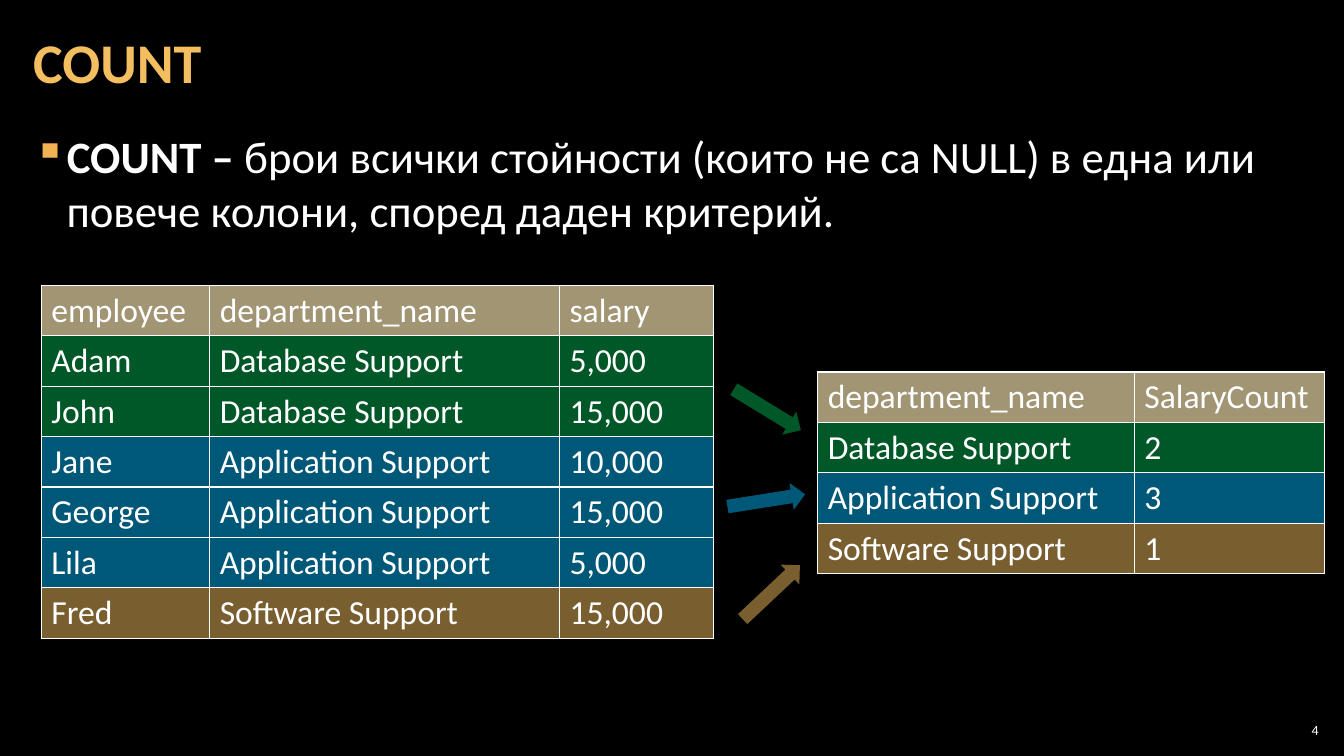
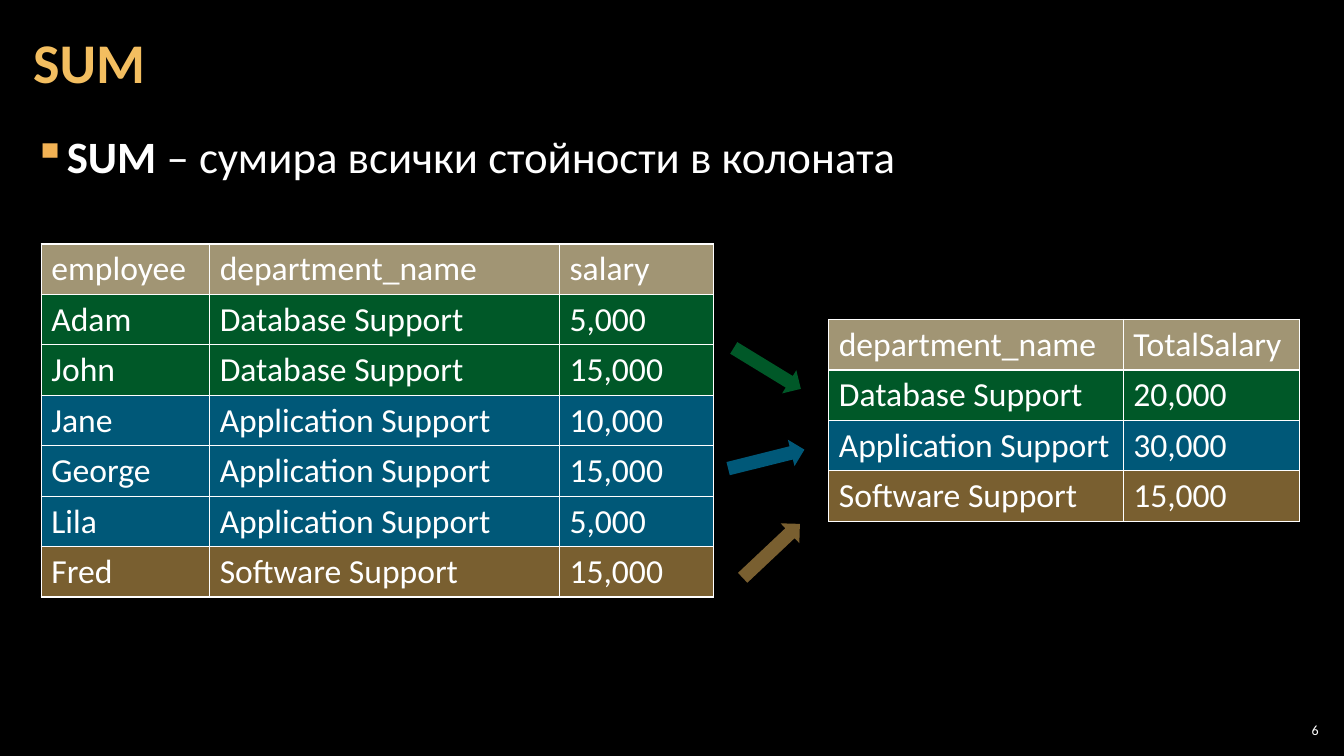
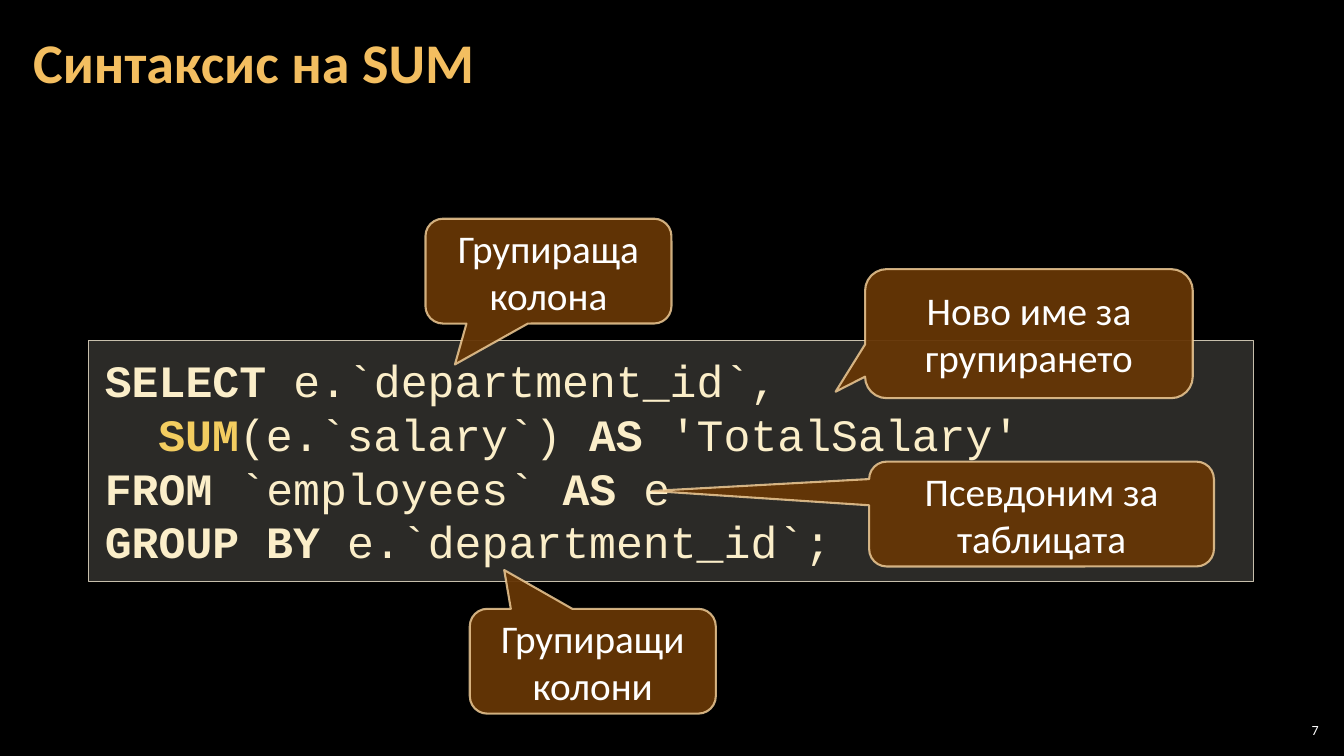
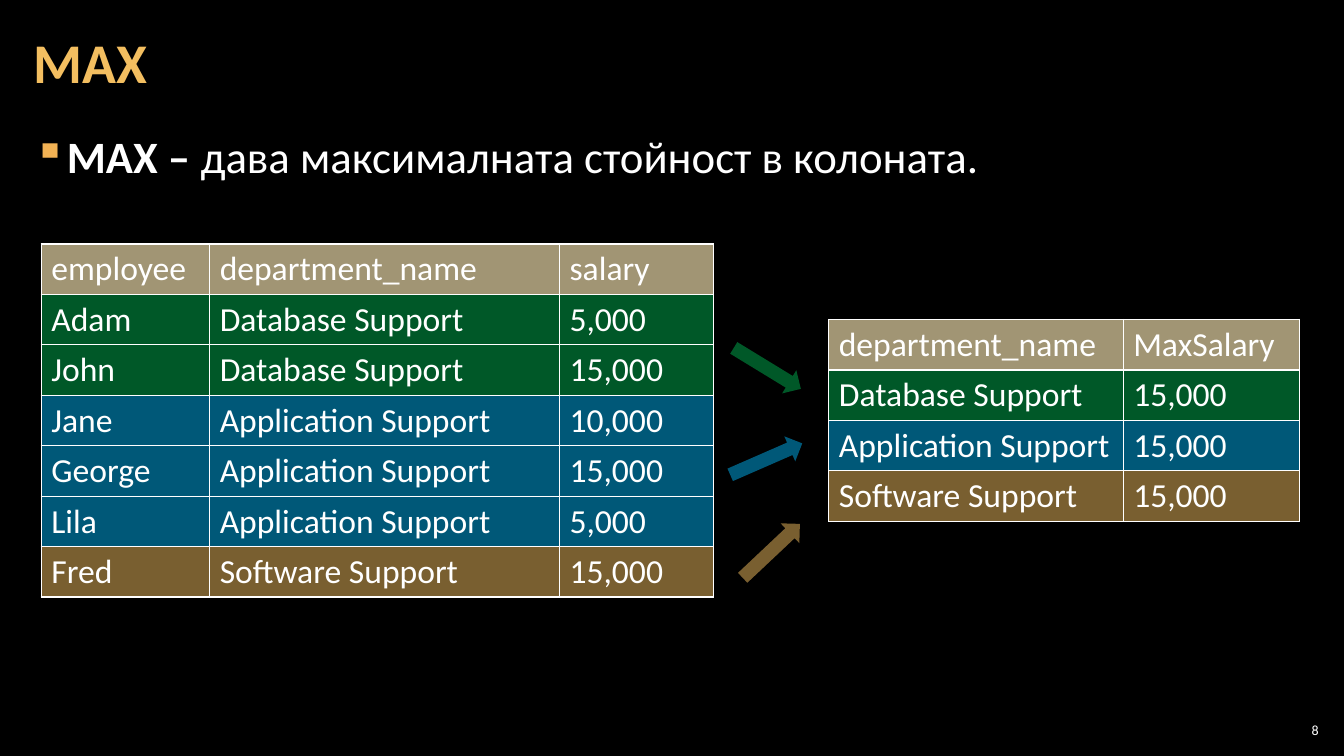
"""Build four slides on SQL aggregate functions."""
from lxml import etree
from pptx import Presentation, util as u
from pptx.dml.color import RGBColor
from pptx.enum import shapes, text
from pptx.oxml import ns

BLACK = RGBColor(0x00, 0x00, 0x00)
WHITE = RGBColor(0xFF, 0xFF, 0xFF)
GOLD = RGBColor(0xF3, 0xBE, 0x60)
BULLET = RGBColor(0xF2, 0xB2, 0x54)
TAUPE = RGBColor(0xA1, 0x95, 0x74)
GREEN = RGBColor(0x00, 0xB0, 0x50)
BLUE = RGBColor(0x00, 0xB0, 0xF0)
CREAM = RGBColor(0xFB, 0xEE, 0xC9)
YELLOW = RGBColor(0xF3, 0xCD, 0x60)
CODE_FILL = RGBColor(0xD9, 0xD5, 0xC7)
CODE_LINE = RGBColor(0xC7, 0xBF, 0xAC)
BROWN = RGBColor(0x66, 0x36, 0x06)
SAND = RGBColor(0xF8, 0xD4, 0x9E)

DEPARTMENTS = {
    "Database Support": GREEN,
    "Application Support": BLUE,
    "Software Support": GOLD,
}
EMPLOYEES = [
    ("employee", "department_name", "salary"),
    ("Adam", "Database Support", "5,000"),
    ("John", "Database Support", "15,000"),
    ("Jane", "Application Support", "10,000"),
    ("George", "Application Support", "15,000"),
    ("Lila", "Application Support", "5,000"),
    ("Fred", "Software Support", "15,000"),
]


class Deck:
    """Holds the shared style and the current slide."""

    EMU_PER_PX = 9144
    FONT = "Calibri"
    CODE_FONT = "Courier New"

    def __init__(self):
        self.presentation = Presentation()
        self.presentation.slide_width = self.px(1333)
        self.presentation.slide_height = self.px(750)
        fill = self.presentation.slide_master.background.fill
        fill.solid()
        fill.fore_color.rgb = BLACK
        self.slide = None

    def px(self, length):
        return u.Emu(length * self.EMU_PER_PX)

    def box(self, *lengths):
        return [self.px(length) for length in lengths]

    def fade(self, holder, percent):
        color = holder.find(ns.qn("a:solidFill")).find(ns.qn("a:srgbClr"))
        etree.SubElement(color, ns.qn("a:alpha"), val=str(percent * 1000))

    def run(self, paragraph, wording, size, color=WHITE, bold=False, font=FONT):
        run = paragraph.add_run()
        run.text = wording
        run.font.size = u.Pt(size)
        run.font.name = font
        run.font.bold = bold
        run.font.color.rgb = color

    def frame(self, shape, across, down, anchor):
        frame = shape.text_frame
        frame.word_wrap = True
        frame.margin_left = frame.margin_right = self.px(across)
        frame.margin_top = frame.margin_bottom = self.px(down)
        frame.vertical_anchor = anchor
        return frame

    def text_box(self, box, across, anchor):
        shape = self.slide.shapes.add_textbox(*self.box(*box))
        return self.frame(shape, across, 4, anchor).paragraphs[0]

    def shape(self, kind, box, fill, opacity):
        shape = self.slide.shapes.add_shape(kind, *self.box(*box))
        shape.shadow.inherit = False
        shape.fill.solid()
        shape.fill.fore_color.rgb = fill
        self.fade(shape._element.spPr, opacity)
        return shape

    def new_slide(self, title, number):
        layout = self.presentation.slide_layouts[6]
        self.slide = self.presentation.slides.add_slide(layout)
        paragraph = self.text_box((21, 4, 1047, 121), 12, text.MSO_ANCHOR.MIDDLE)
        paragraph.line_spacing = 0.9
        self.run(paragraph, title, 40, GOLD, True)
        paragraph = self.text_box((1265, 714, 47, 21), 4, text.MSO_ANCHOR.MIDDLE)
        paragraph.alignment = text.PP_ALIGN.RIGHT
        self.run(paragraph, str(number), 10)

    def bullet(self, term, meaning):
        paragraph = self.text_box((21, 124, 1291, 609), 12, text.MSO_ANCHOR.TOP)
        paragraph.space_before = paragraph.space_after = u.Pt(6)
        properties = paragraph._p.get_or_add_pPr()
        properties.set("marL", str(self.px(33)))
        properties.set("indent", str(self.px(-33)))
        color = etree.SubElement(properties, ns.qn("a:buClr"))
        etree.SubElement(color, ns.qn("a:srgbClr"), val=str(BULLET))
        etree.SubElement(properties, ns.qn("a:buChar"), char="▪")
        self.run(paragraph, term, 32, bold=True)
        self.run(paragraph, meaning, 32)

    def cell(self, cell, wording, fill, opacity):
        cell.fill.solid()
        cell.fill.fore_color.rgb = fill
        properties = cell._tc.tcPr
        self.fade(properties, opacity)
        for index, side in enumerate(("a:lnL", "a:lnR", "a:lnT", "a:lnB")):
            line = etree.Element(ns.qn(side), w=str(u.Pt(1)))
            solid = etree.SubElement(line, ns.qn("a:solidFill"))
            etree.SubElement(solid, ns.qn("a:srgbClr"), val=str(WHITE))
            properties.insert(index, line)
        self.run(cell.text_frame.paragraphs[0], wording, 24)

    def table(self, left, top, widths, rows, department_column):
        box = self.box(left, top, sum(widths), 50 * len(rows))
        table = self.slide.shapes.add_table(len(rows), len(widths), *box).table
        table.first_row = table.horz_banding = False
        for column, width in zip(table.columns, widths):
            column.width = self.px(width)
        for row, values in zip(table.rows, rows):
            fill = DEPARTMENTS.get(values[department_column])
            for cell, value in zip(row.cells, values):
                self.cell(cell, value, fill or TAUPE, 50 if fill else 100)

    def arrow(self, left, top, angle, fill):
        box = (left, top, 78, 27)
        shape = self.shape(shapes.MSO_SHAPE.RIGHT_ARROW, box, fill, 50)
        shape.line.fill.background()
        shape.rotation = angle

    def grouping(self, top, result_place, result_widths, heading, totals, blue_angle):
        self.table(41, top, (167, 347, 153), EMPLOYEES, 1)
        rows = [("department_name", heading), *zip(DEPARTMENTS, totals)]
        self.table(*result_place, result_widths, rows, 0)
        self.arrow(722, top + 110, 31.4, GREEN)
        self.arrow(721, top + 200, blue_angle, BLUE)
        self.arrow(726, top + 291, 316.7, GOLD)

    def code(self, box, lines):
        shape = self.shape(shapes.MSO_SHAPE.RECTANGLE, box, CODE_FILL, 20)
        shape.line.color.rgb = CODE_LINE
        shape.line.width = u.Pt(1)
        frame = self.frame(shape, 16, 12, text.MSO_ANCHOR.TOP)
        for index, (indent, runs) in enumerate(lines):
            paragraph = frame.add_paragraph() if index else frame.paragraphs[0]
            paragraph.alignment = text.PP_ALIGN.LEFT
            paragraph._p.get_or_add_pPr().set("marL", str(self.px(indent)))
            for wording, color, bold in runs:
                self.run(paragraph, wording, 32, color, bold, self.CODE_FONT)

    def callout(self, box, tip, wording):
        kind = shapes.MSO_SHAPE.ROUNDED_RECTANGULAR_CALLOUT
        shape = self.shape(kind, box, BROWN, 95)
        shape.adjustments[0], shape.adjustments[1] = tip
        shape.line.color.rgb = SAND
        shape.line.width = u.Pt(1.5)
        self.fade(shape._element.spPr.find(ns.qn("a:ln")), 80)
        paragraph = self.frame(shape, 10, 5, text.MSO_ANCHOR.MIDDLE).paragraphs[0]
        paragraph.alignment = text.PP_ALIGN.CENTER
        self.run(paragraph, wording, 28)


def main():
    deck = Deck()

    deck.new_slide("COUNT", 4)
    deck.bullet("COUNT – ", "брои всички стойности (които не са NULL) в една или "
                "повече колони, според даден критерий.")
    deck.grouping(283, (811, 369), (314, 189), "SalaryCount", ("2", "3", "1"), 351)

    deck.new_slide("SUM", 6)
    deck.bullet("SUM ", "– сумира всички стойности в колоната")
    deck.grouping(242, (822, 317), (292, 175), "TotalSalary",
                  ("20,000", "30,000", "15,000"), 346)

    deck.new_slide("Синтаксис на SUM", 7)
    deck.code((88, 338, 1155, 239), [
        (0, [("SELECT", CREAM, True), (" e.`department_id`,", CREAM, False)]),
        (53, [("SUM", YELLOW, True), ("(e.`salary`) ", CREAM, False),
              ("AS", CREAM, True), (" 'TotalSalary'", CREAM, False)]),
        (0, [("FROM ", CREAM, True), ("`employees` ", CREAM, False),
             ("AS", CREAM, True), (" e", CREAM, False)]),
        (0, [("GROUP BY ", CREAM, True), ("e.`department_id`;", CREAM, False)]),
    ])
    deck.callout((422, 217, 244, 104), (-0.38, 0.89), "Групираща колона")
    deck.callout((466, 604, 244, 104), (-0.36, -0.87), "Групиращи колони")
    deck.callout((862, 458, 342, 104), (-1.13, -0.22), "Псевдоним за таблицата")
    deck.callout((858, 267, 325, 128), (-0.59, 0.45), "Ново име за групирането")

    deck.new_slide("MAX", 8)
    deck.bullet("MAX –", " дава максималната стойност в колоната.")
    deck.grouping(242, (822, 317), (292, 175), "MaxSalary", ("15,000",) * 3, 336.4)

    deck.presentation.save("out.pptx")


if __name__ == "__main__":
    main()
